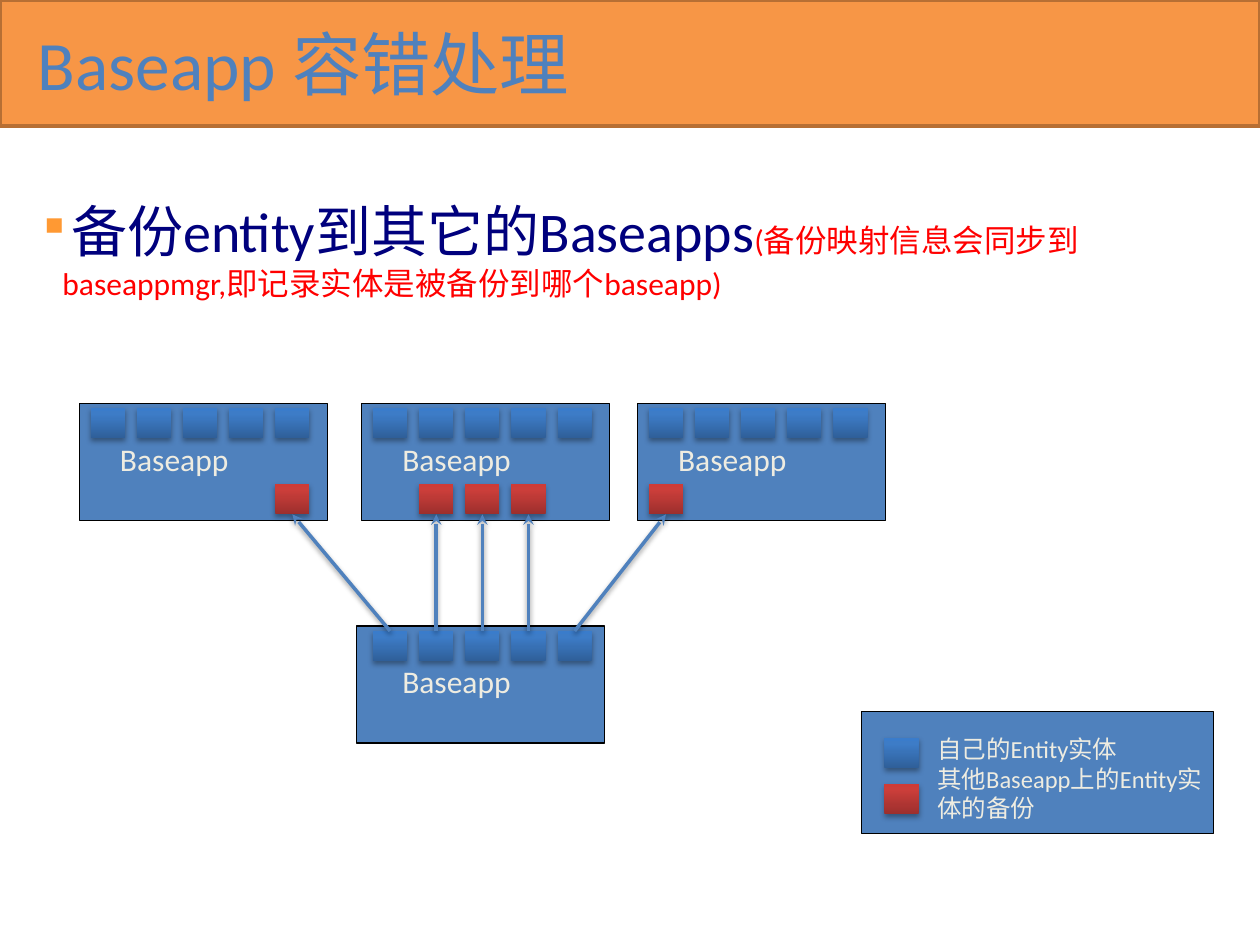
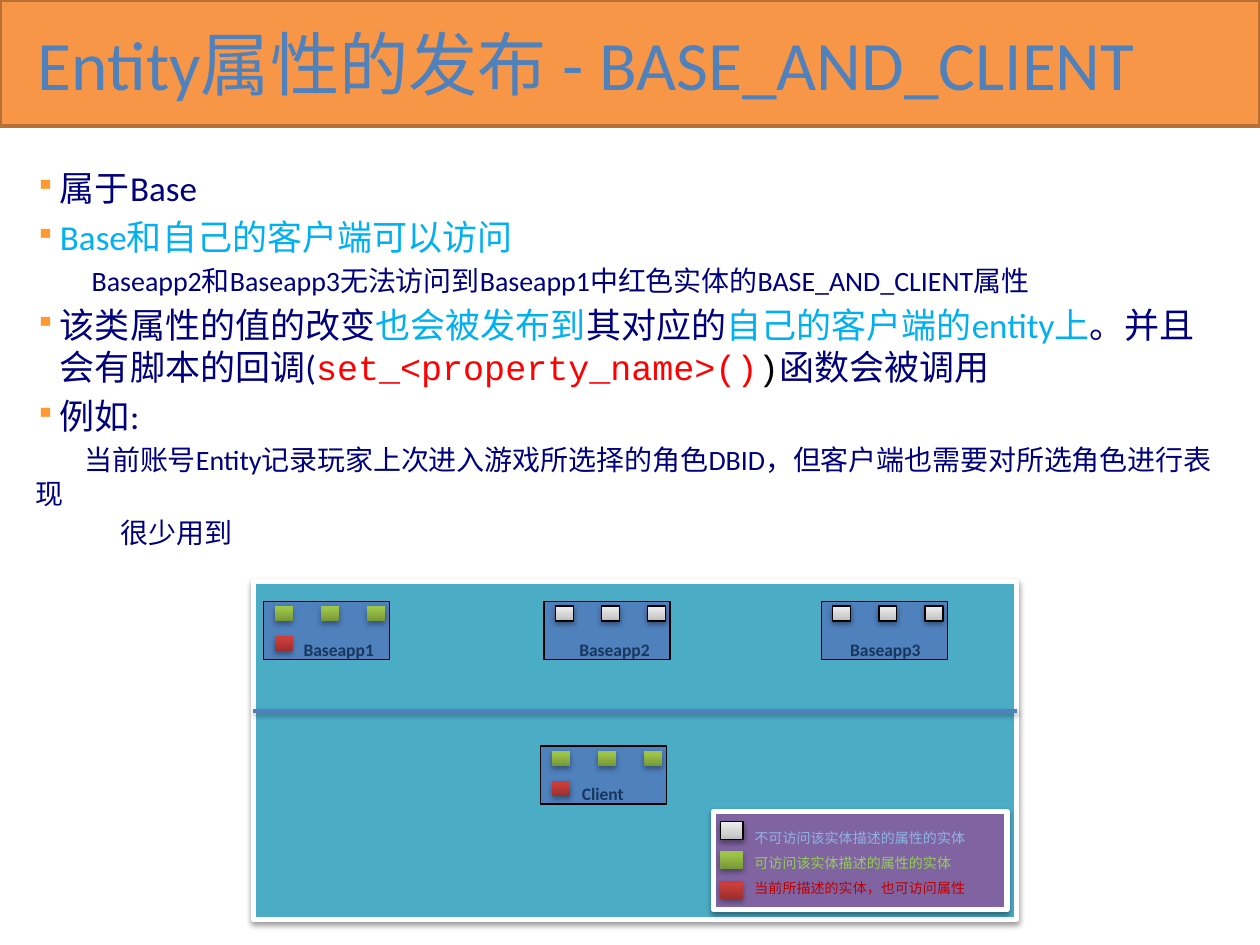
"""Build two slides on Baseapp fault tolerance and on publishing entity properties."""
from lxml import etree
from pptx import Presentation
from pptx import util as u
from pptx.dml.color import RGBColor
from pptx.enum import shapes, text
from pptx.oxml.ns import qn

ORANGE, BROWN, BLUE, NAVY = "F79646", "B76F34", "4F81BD", "00007D"
CREAM, WHITE, BLACK, RED, SKY = "EEECE1", "FFFFFF", "000000", "FF0000", "00B0F0"
TEAL, PURPLE, DARK_BLUE, BULLET = "4BACC6", "8064A2", "17375E", "FF9933"
FONT, CODE_FONT = "Calibri", "Courier New"

GRADIENTS = {
    "blue": [(0, "2F5F99"), (80, "3D7CC7"), (100, "3A7CCB")],
    "red": [(0, "9C2F2D"), (80, "CB3E3A"), (100, "CE3B37")],
    "green": [(0, "779737"), (80, "9BC348"), (100, "9DC746")],
    "grey": [(0, "BDBDBD"), (35, "D1D1D1"), (100, "EEEEEE")],
}
SOFT_SHADOW, LINE_SHADOW = (35, 3.1, 1.8), (38, 3.1, 1.6)

BACKUP_TITLE = "Baseapp 容错处理"
BACKUP_BODY = [
    dict(size=32, bullet=True, spans=[
        ("备份entity到其它的Baseapps", NAVY, {}),
        ("(备份映射信息会同步到baseappmgr,即记录实体是被备份到哪个baseapp)", RED, {"size": 18}),
    ]),
]
SERVERS = [(1.6, 8.13), (7.29, 8.13), (12.85, 8.13)]
SOURCE_SERVER = (7.19, 12.62)
BACKUPS = [(0, 4), (1, 1), (1, 2), (1, 3), (2, 0)]
BACKUP_LEGEND = ["自己的Entity实体", "其他Baseapp上的Entity实体的备份"]

PUBLISH_TITLE = "Entity属性的发布 - BASE_AND_CLIENT"
PUBLISH_BODY = [
    dict(size=20, bullet=True, spans=[("属于Base", NAVY, {})]),
    dict(size=20, bullet=True, spans=[("Base和自己的客户端可以访问", SKY, {})]),
    dict(size=16, indent=1.14, spans=[
        ("Baseapp2和Baseapp3无法访问到Baseapp1中红色实体的BASE_AND_CLIENT属性", NAVY, {})]),
    dict(size=20, bullet=True, spans=[
        ("该类属性的值的改变", NAVY, {}),
        ("也会被发布到", SKY, {}),
        ("其对应的", NAVY, {}),
        ("自己的客户端的entity上", SKY, {}),
        ("。并且会有脚本的回调(", NAVY, {}),
        ("set_<property_name>()", RED, {"name": CODE_FONT}),
        (")", BLACK, {"name": CODE_FONT}),
        ("函数会被调用", NAVY, {}),
    ]),
    dict(size=20, bullet=True, spans=[("例如:", NAVY, {})]),
    dict(size=16, indent=0.99, spans=[
        ("当前账号Entity记录玩家上次进入游戏所选择的角色DBID，但客户端也需要对所选角色进行表现", NAVY, {})]),
    dict(size=16, indent=1.73, spans=[("很少用到", NAVY, {})]),
]
NODES = [
    ("Baseapp1", 5.31, 12.12, 0.56, "green", True),
    ("Baseapp2", 10.97, 12.12, 0.46, "grey", False),
    ("Baseapp3", 16.56, 12.12, 0.33, "grey", False),
    ("Client", 10.9, 15.04, 0.58, "green", True),
]
ACCESS_LEGEND = [
    ("grey", "不可访问该实体描述的属性的实体", "8EB4E3"),
    ("green", "可访问该实体描述的属性的实体", "92D050"),
    ("red", "当前所描述的实体，也可访问属性", "C00000"),
]
ENTITY_PITCH = 0.93


def rgb(value):
    """Turn a hex string into a colour."""
    return RGBColor.from_string(value)


def lengths(*values):
    """Turn numbers into centimetre lengths."""
    return [u.Cm(value) for value in values]


def add_element(parent, tag, **attributes):
    """Append a drawing element with the given attributes."""
    return etree.SubElement(parent, qn("a:" + tag), {key: str(value) for key, value in attributes.items()})


def set_effects(shape, shadow=None):
    """Replace the theme effects with the given shadow or with none."""
    effects = add_element(shape.element.spPr, "effectLst")
    if shadow:
        opacity, blur, distance = shadow
        outer = add_element(effects, "outerShdw", blurRad=u.Pt(blur), dist=u.Pt(distance),
                            dir=90 * 60000, rotWithShape=0)
        add_element(add_element(outer, "srgbClr", val=BLACK), "alpha", val=opacity * 1000)


def add_box(page, place, fill, line=None, width=0.75, shadow=None):
    """Add a rectangle filled with a colour or a named gradient."""
    box = page.shapes.add_shape(shapes.MSO_SHAPE.RECTANGLE, *lengths(*place))
    if fill in GRADIENTS:
        box.fill.gradient()
        box.fill.gradient_angle = 90
        stops = box.element.spPr.find(".//" + qn("a:gsLst"))
        stops.clear()
        for position, color in GRADIENTS[fill]:
            add_element(add_element(stops, "gs", pos=position * 1000), "srgbClr", val=color)
    else:
        box.fill.solid()
        box.fill.fore_color.rgb = rgb(fill)
    if line:
        box.line.color.rgb = rgb(line)
        box.line.width = u.Pt(width)
    else:
        box.line.fill.background()
    set_effects(box, shadow)
    return box


def add_entity(page, x, y, kind, size):
    """Add a small gradient square standing for an entity."""
    if kind == "grey":
        return add_box(page, (x, y, *size), kind, BLACK, shadow=LINE_SHADOW)
    return add_box(page, (x, y, *size), kind, shadow=SOFT_SHADOW)


def add_line(page, start, end, arrow=False):
    """Add a shadowed blue line, with an arrowhead if asked."""
    line = page.shapes.add_connector(shapes.MSO_CONNECTOR.STRAIGHT, *lengths(*start, *end))
    line.line.color.rgb = rgb(BLUE)
    line.line.width = u.Pt(2)
    if arrow:
        add_element(line.element.spPr.find(qn("a:ln")), "tailEnd", type="stealth")
    set_effects(line, LINE_SHADOW)
    return line


def style_font(font, size, color, bold=False):
    """Set the shared typeface with a size and a colour."""
    font.name, font.size, font.bold = FONT, u.Pt(size), bold
    font.color.rgb = rgb(color)


def add_label(page, place, lines, size, bold=False, spacing=None):
    """Add a text box with one paragraph for each (wording, colour) pair."""
    frame = page.shapes.add_textbox(*lengths(*place)).text_frame
    frame.word_wrap = True
    for number, (wording, color) in enumerate(lines):
        para = frame.add_paragraph() if number else frame.paragraphs[0]
        para.text = wording
        para.line_spacing = spacing
        style_font(para.font, size, color, bold)


def add_body(page, place, content):
    """Add the main text with its bullets and first-line indents."""
    frame = page.shapes.add_textbox(*lengths(*place)).text_frame
    frame.word_wrap = True
    frame.margin_left, frame.margin_top, frame.margin_right, frame.margin_bottom = lengths(0.15, 0.03, 0.1, 0.13)
    for number, item in enumerate(content):
        para = frame.add_paragraph() if number else frame.paragraphs[0]
        properties = para._p.get_or_add_pPr()
        if item.get("bullet"):
            properties.set("marL", str(u.Cm(0.5)))
            properties.set("indent", str(u.Cm(-0.5)))
            add_element(add_element(properties, "buClr"), "srgbClr", val=BULLET)
            add_element(properties, "buSzPct", val=80000)
            add_element(properties, "buChar", char="▪")
        else:
            properties.set("indent", str(u.Cm(item["indent"])))
        if number:
            para.space_before = u.Pt(item["size"] * 0.2)
        para.font.name, para.font.size = FONT, u.Pt(item["size"])
        for wording, color, changes in item["spans"]:
            span = para.add_run()
            span.text = wording
            span.font.color.rgb = rgb(color)
            if "size" in changes:
                span.font.size = u.Pt(changes["size"])
            if "name" in changes:
                span.font.name = changes["name"]


def add_page(deck, heading, width):
    """Add a title-only slide with the orange band."""
    page = deck.slides.add_slide(deck.slide_layouts[5])
    title = page.shapes.title
    band = add_box(page, (0, 0, 25.4, 2.54), ORANGE, BROWN, 2)
    title.element.addprevious(band.element)
    title.left, title.top, title.width, title.height = lengths(0.51, 0.36, width, 1.8)
    frame = title.text_frame
    frame.text = heading
    frame.auto_size = text.MSO_AUTO_SIZE.NONE
    frame.vertical_anchor = text.MSO_ANCHOR.MIDDLE
    para = frame.paragraphs[0]
    para.alignment = text.PP_ALIGN.LEFT
    style_font(para.font, 39.6, BLUE)
    return page


def add_server(page, x, y, inset):
    """Add a Baseapp with its row of own entities and return them."""
    add_box(page, (x, y, 5, 2.36), BLUE, BLACK)
    add_label(page, (x + inset + 0.34, y + 0.61, 2.8, 1.02), [("Baseapp", CREAM)], 18)
    return [add_entity(page, x + inset + column * ENTITY_PITCH, y + 0.1, "blue", (0.69, 0.61))
            for column in range(5)]


def build_backup_page(deck):
    """Show entities backed up to the other Baseapps."""
    page = add_page(deck, BACKUP_TITLE, 19.6)
    add_body(page, (0.61, 3.94, 24.31, 5.18), BACKUP_BODY)
    for x, y in SERVERS:
        add_server(page, x, y, 0.23)
    entities = add_server(page, *SOURCE_SERVER, 0.33)
    for entity, (server, column) in zip(entities, BACKUPS):
        x, y = SERVERS[server]
        backup = add_entity(page, x + 0.23 + column * ENTITY_PITCH, y + 1.63, "red", (0.69, 0.61))
        arrow = add_line(page, (0, 0), (0, 0), arrow=True)
        arrow.begin_connect(entity, 0)
        arrow.end_connect(backup, 2)
    add_box(page, (17.37, 14.35, 7.09, 2.46), BLUE, BLACK)
    for row, kind in enumerate(("blue", "red")):
        add_entity(page, 17.83, 14.88 + row * 0.92, kind, (0.69, 0.61))
    add_label(page, (18.64, 14.68, 6.15, 2.06), [(line, CREAM) for line in BACKUP_LEGEND], 14)


def build_publish_page(deck):
    """Show which entities can reach a BASE_AND_CLIENT property."""
    page = add_page(deck, PUBLISH_TITLE, 24.6)
    add_body(page, (0.56, 3.33, 24.31, 8.2), PUBLISH_BODY)
    add_box(page, (5.11, 11.73, 15.39, 6.81), TEAL, WHITE, 3, LINE_SHADOW)
    for name, x, y, label_inset, kind, described in NODES:
        add_box(page, (x, y, 2.54, 1.17), BLUE, BLACK)
        add_label(page, (x + label_inset, y + 0.63, 2.21, 0.69), [(name, DARK_BLUE)], 10, bold=True)
        for column in range(3):
            add_entity(page, x + 0.23 + column * ENTITY_PITCH, y + 0.1, kind, (0.36, 0.3))
        if described:
            add_entity(page, x + 0.23, y + 0.7, "red", (0.36, 0.3))
    add_line(page, (5.11, 14.33), (20.5, 14.33))
    add_box(page, (14.38, 16.36, 5.92, 1.98), PURPLE, WHITE, 3, LINE_SHADOW)
    for row, (kind, _, _) in enumerate(ACCESS_LEGEND):
        add_entity(page, 14.52, 16.56 + row * 0.6, kind, (0.46, 0.36))
    add_label(page, (14.96, 16.43, 5.33, 2.31), [line[1:] for line in ACCESS_LEGEND], 8, spacing=1.5)


def main():
    """Build and save the deck."""
    deck = Presentation()
    deck.slide_width, deck.slide_height = lengths(25.4, 19.05)
    build_backup_page(deck)
    build_publish_page(deck)
    deck.save("out.pptx")


if __name__ == "__main__":
    main()
